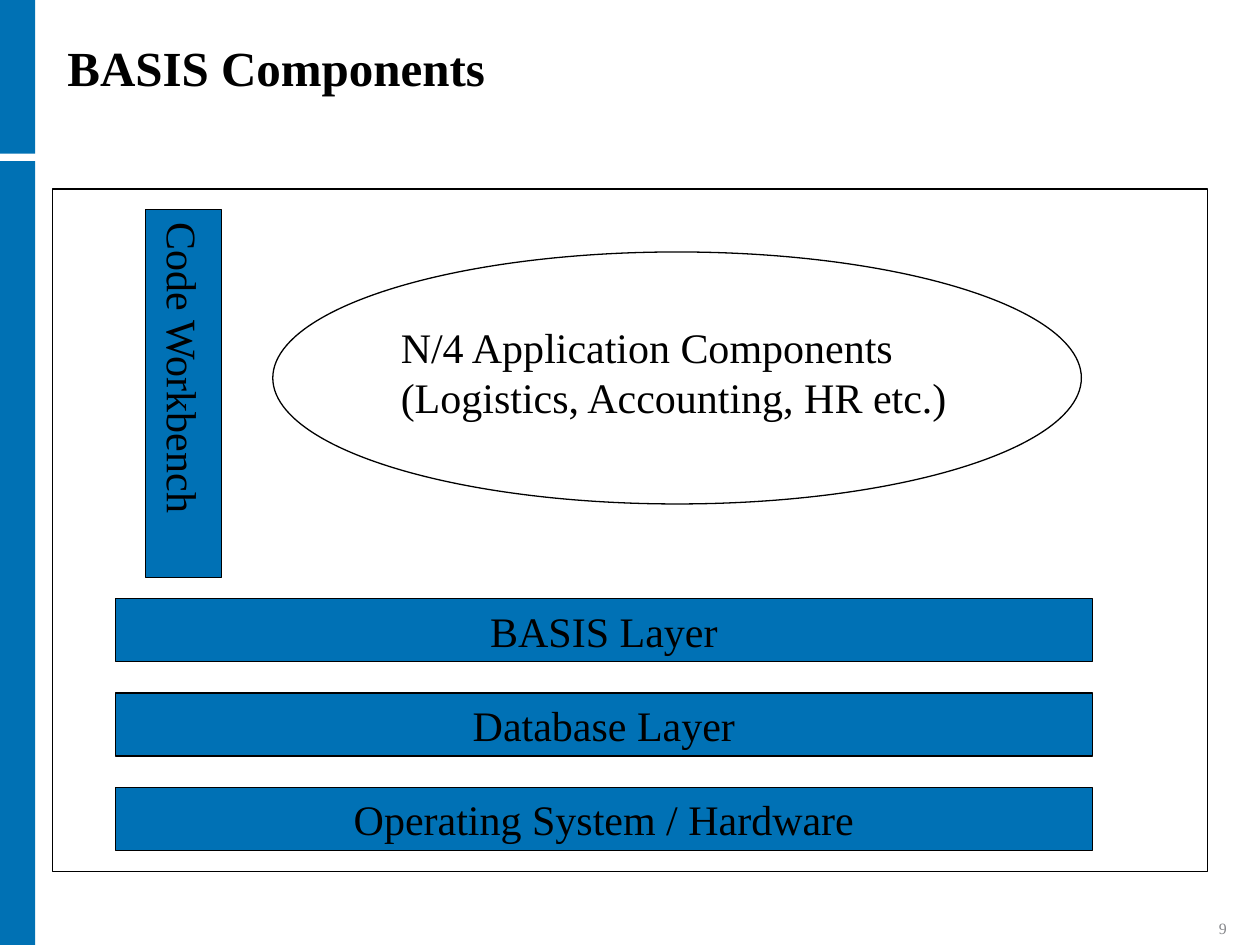
from pptx import Presentation
from pptx.dml.color import RGBColor
from pptx.enum.shapes import MSO_SHAPE
from pptx.enum.text import MSO_ANCHOR, PP_ALIGN
from pptx.util import Cm, Pt

FONT = "Times New Roman"
BLUE = "0071B5"
BLACK = "000000"


def color(code):
    return RGBColor.from_string(code)


def add_shape(slide, box, fill=None, line=BLACK, kind=MSO_SHAPE.RECTANGLE):
    shape = slide.shapes.add_shape(kind, *map(Cm, box))
    shape.shadow.inherit = False
    if fill:
        shape.fill.solid()
        shape.fill.fore_color.rgb = color(fill)
    else:
        shape.fill.background()
    if line:
        shape.line.color.rgb = color(line)
        shape.line.width = Pt(0.75)
    else:
        shape.line.fill.background()
    return shape


def write(shape, lines, size=24, ink=BLACK, bold=False, align=PP_ALIGN.LEFT,
          anchor=MSO_ANCHOR.TOP, wrap=False, pad=(0.25, 0.13)):
    """Fill a shape with one paragraph per line; pad is (side, top)."""
    frame = shape.text_frame
    frame.word_wrap = wrap
    frame.vertical_anchor = anchor
    frame.margin_left = frame.margin_right = Cm(pad[0])
    frame.margin_top = frame.margin_bottom = Cm(pad[1])
    frame.text = "\n".join(lines)
    for para in frame.paragraphs:
        para.alignment = align
        font = para.font
        font.name, font.size, font.bold = FONT, Pt(size), bold
        font.color.rgb = color(ink)
    return frame


def add_text(slide, box, lines, **style):
    return write(slide.shapes.add_textbox(*map(Cm, box)), lines, **style)


def add_block(slide, box, label, **style):
    shape = add_shape(slide, box, BLUE)
    return write(shape, [label], align=PP_ALIGN.CENTER,
                 anchor=MSO_ANCHOR.MIDDLE, **style)


def add_pillar(slide, box, label):
    """Add a block whose text runs from top to bottom."""
    frame = add_block(slide, box, label, wrap=True, pad=(0.13, 0.25))
    frame._txBody.bodyPr.set("vert", "eaVert")


def main():
    deck = Presentation()
    deck.slide_width, deck.slide_height = Cm(25.4), Cm(19.05)
    slide = deck.slides.add_slide(deck.slide_layouts[6])

    for top, height in ((3.25, 15.8), (0, 3.1)):
        add_shape(slide, (0, top, 0.71, height), "0071B4", line=None)
    title = add_text(slide, (0.85, 0.64, 21.17, 1.27), ["BASIS Components"],
                     size=28, bold=True, wrap=True, pad=(0.51, 0.25))
    title.paragraphs[0].line_spacing = 0.9

    add_shape(slide, (1.06, 3.81, 23.28, 13.76))
    add_shape(slide, (5.5, 5.08, 16.3, 5.08), kind=MSO_SHAPE.OVAL)
    add_text(slide, (7.83, 6.35, 11.56, 2.29),
             ["N/4 Application Components", "(Logistics, Accounting, HR etc.)"])
    add_pillar(slide, (2.94, 4.23, 1.53, 7.41), "Code Workbench")

    layers = ("BASIS Layer", "Database Layer", "Operating System / Hardware")
    for row, label in enumerate(layers):
        add_block(slide, (2.33, 12.07 + row * 1.9, 19.69, 1.27), label)

    add_text(slide, (22.86, 18.42, 2.12, 0.61), ["9"], size=9, ink="848589",
             align=PP_ALIGN.RIGHT, anchor=MSO_ANCHOR.BOTTOM, wrap=True)
    deck.save("out.pptx")


if __name__ == "__main__":
    main()
